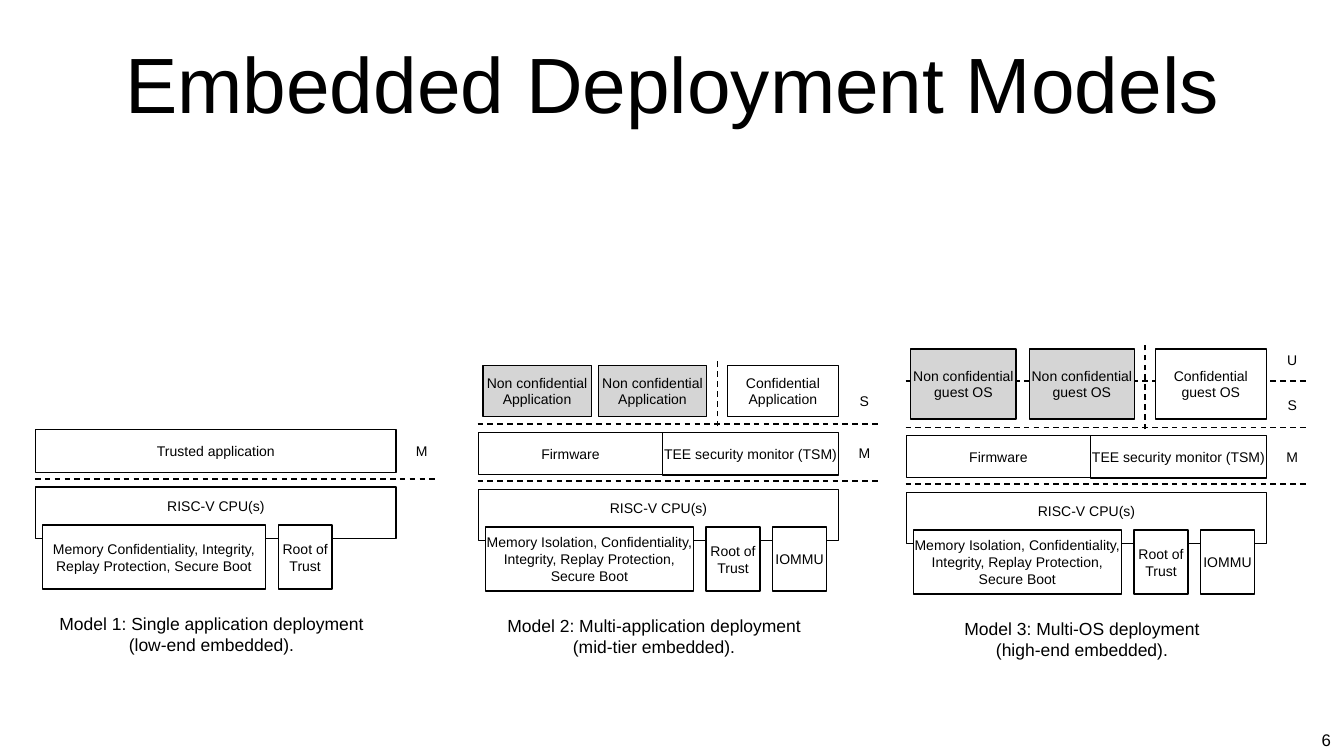
from dataclasses import dataclass
from typing import Any

from lxml import etree
from pptx import Presentation
from pptx.dml.color import RGBColor
from pptx.enum import dml, shapes, text
from pptx.oxml.ns import qn
from pptx.util import Pt

HUES = {"ink": "000000", "paper": "FFFFFF", "shade": "D5D5D5"}


@dataclass
class Pen:
    slide: Any
    face: str = "Arial"
    size: float = 20
    width: float = 2

    def hue(self, name):
        return RGBColor.from_string(HUES[name])

    def letter(self, shape, words, size, pad, **extra):
        frame = shape.text_frame
        form = {"vertical_anchor": text.MSO_ANCHOR.MIDDLE, "word_wrap": True}
        form.update({f"margin_{side}": Pt(pad) for side in ("left", "top", "right", "bottom")})
        form.update(extra)
        for key, value in form.items():
            setattr(frame, key, value)
        para = frame.paragraphs[0]
        para.text = words
        para.alignment = text.PP_ALIGN.CENTER
        for run in para.runs:
            for key, value in {"name": self.face, "size": Pt(size)}.items():
                setattr(run.font, key, value)
            run.font.color.rgb = self.hue("ink")

    def box(self, words, x, y, w, h, fill="paper", pad=0, **extra):
        shape = self.slide.shapes.add_shape(
            shapes.MSO_SHAPE.RECTANGLE, Pt(x), Pt(y), Pt(w), Pt(h))
        shape.shadow.inherit = False
        shape.fill.solid()
        shape.fill.fore_color.rgb = self.hue(fill)
        shape.line.color.rgb = self.hue("ink")
        shape.line.width = Pt(self.width)
        self.letter(shape, words, self.size, pad, **extra)

    def label(self, words, x, y, w, h, size=None, **extra):
        shape = self.slide.shapes.add_textbox(Pt(x), Pt(y), Pt(w), Pt(h))
        form = {"word_wrap": False, "auto_size": text.MSO_AUTO_SIZE.SHAPE_TO_FIT_TEXT}
        self.letter(shape, words, size or self.size, 4, **{**form, **extra})

    def dash(self, x1, y1, x2, y2):
        line = self.slide.shapes.add_connector(
            shapes.MSO_CONNECTOR.STRAIGHT, Pt(x1), Pt(y1), Pt(x2), Pt(y2))
        line.line.color.rgb = self.hue("ink")
        line.line.width = Pt(self.width)
        line.line.dash_style = dml.MSO_LINE.DASH
        etree.SubElement(line._element.spPr, qn("a:effectLst"))


def base(pen, x, y, parts):
    pen.box("RISC-V CPU(s)", x, y, 515, 73, pad=15, vertical_anchor=text.MSO_ANCHOR.TOP)
    for words, left, wide in parts:
        pen.box(words, x + left, y + 54, wide, 91.5)
    pen.dash(x - 1, y - 12, x + 576, y - 12)


def mode(pen, x, y, name, rise):
    pen.label(name, x + 538, y - rise, 27, 32.4)


def title(pen, words, x, y, wide):
    pen.label(words, x + 251 - wide / 2, y + 176.4, wide, 67, size=25)


def upper(pen, x, y, kind, wide, second, high, top):
    pen.box("Firmware", x, y - 81.5, 263.5, 60.5)
    pen.box("TEE security monitor (TSM)", x + 263, y - 81.5, 252, 61)
    for left in (6.5, second):
        pen.box(f"Non confidential {kind}", x + left, y - top, wide, high, fill="shade")
    pen.box(f"Confidential {kind}", x + 355.7, y - top, 159, high)
    pen.dash(x - 1, y - 93, x + 576, y - 93)
    pen.dash(x + 341.3, y - 90, x + 341.3, y - top - 6.6)
    mode(pen, x, y, "S", 141.8)


def main():
    deck = Presentation()
    deck.slide_width, deck.slide_height = Pt(1920), Pt(1080)
    pen = Pen(deck.slides.add_slide(deck.slide_layouts[6]))
    pen.label("Embedded Deployment Models", 133, 28, 1654, 180, size=112,
              word_wrap=True, auto_size=text.MSO_AUTO_SIZE.NONE)

    small = [("Root of Trust", 346.5, 77),
             ("Memory Confidentiality, Integrity, Replay Protection, Secure Boot", 10, 318)]
    large = [("IOMMU", 420.5, 77), ("Root of Trust", 325.5, 77),
             ("Memory Isolation, Confidentiality, Integrity, Replay Protection, Secure Boot",
              10, 297.5)]
    models = [
        (51, 696, small, "Model 1: Single application deployment\n(low-end embedded).", 451.5),
        (683.3, 699, large, "Model 2: Multi-application deployment\n(mid-tier embedded).", 440),
        (1294.6, 703.4, large, "Model 3: Multi-OS deployment\n(high-end embedded).", 352),
    ]
    for x, y, parts, words, wide in models:
        base(pen, x, y, parts)
        mode(pen, x, y, "M", 67.5)
        title(pen, words, x, y, wide)

    (x1, y1), (x2, y2), (x3, y3) = (model[:2] for model in models)
    pen.box("Trusted application", x1, y1 - 82, 515, 61)
    upper(pen, x2, y2, "Application", 155, 171.4, 73, 177)
    pen.dash(x3 - 1, y3 - 159, x3 + 576, y3 - 159)
    upper(pen, x3, y3, "guest OS", 150.5, 175.7, 100, 205)
    mode(pen, x3, y3, "U", 206)
    pen.label("6", 1883.5, 1038, 22.3, 36, size=24, vertical_anchor=text.MSO_ANCHOR.TOP)
    deck.save("out.pptx")


if __name__ == "__main__":
    main()
